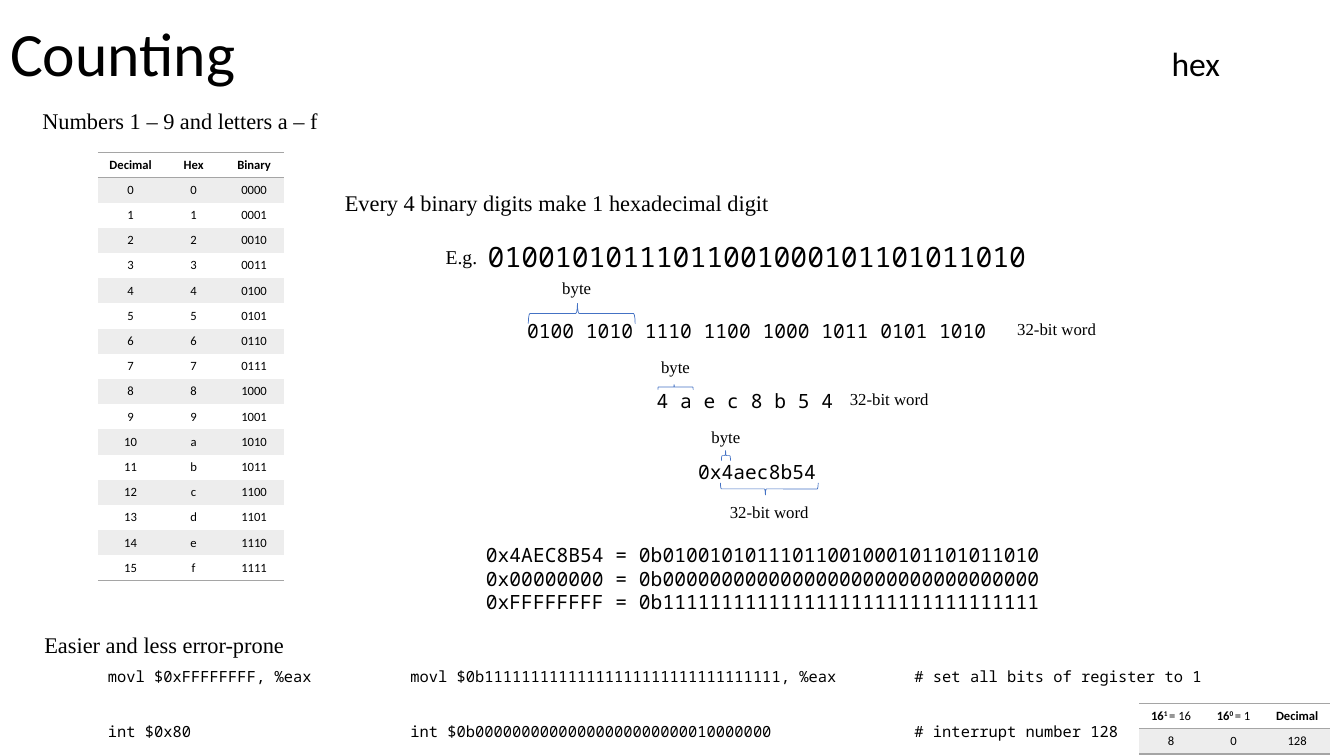
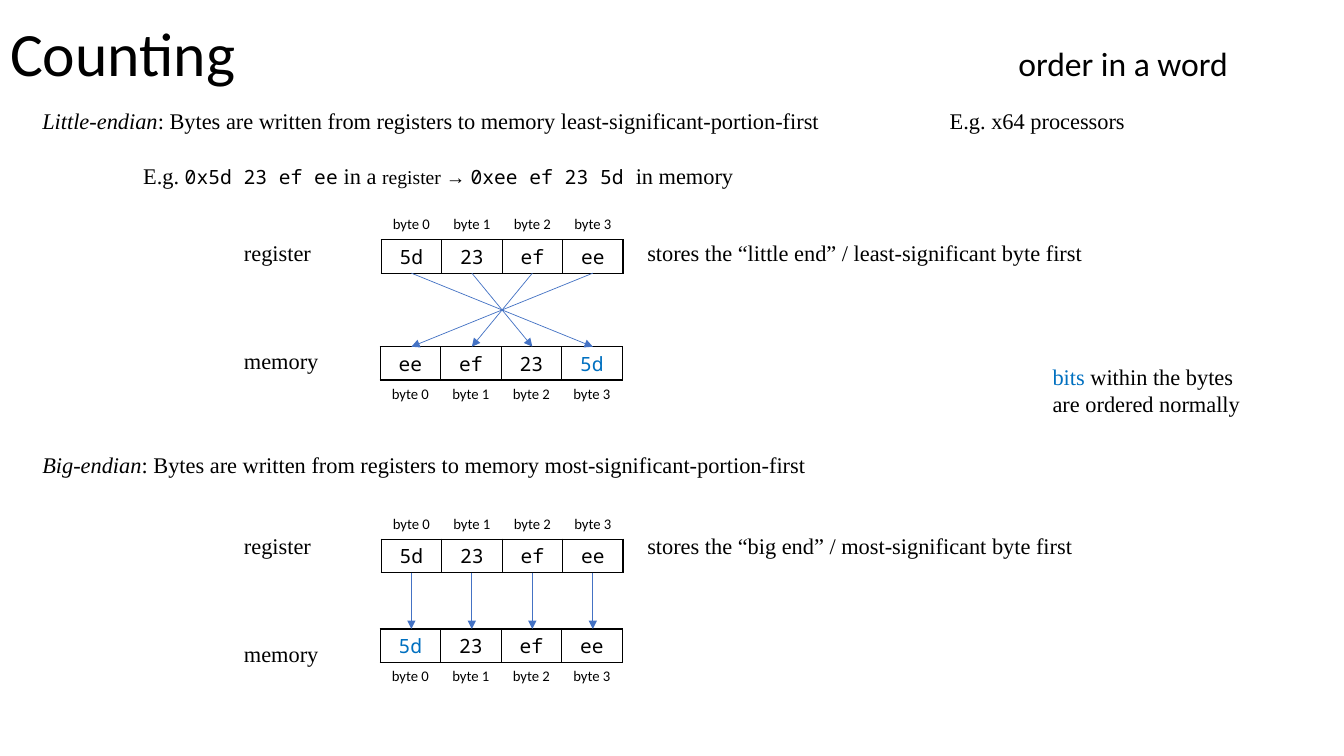
"""Build two slides on counting: hexadecimal digits and byte order in a word."""
from lxml import etree
from pptx import Presentation
from pptx import util as u
from pptx.dml import color as c
from pptx.enum import shapes, text as t
from pptx.oxml import ns

rgb = c.RGBColor.from_string
BLACK, BLUE, LINE_BLUE, GREY, PALE = "000000", "0070C0", "4472C4", "A5A5A5", "EDEDED"
SERIF, SANS, MONO = "Times New Roman", "Calibri", "Noto Sans Mono"
LEFT, CENTER = t.PP_ALIGN.LEFT, t.PP_ALIGN.CENTER
BODY = dict(font=SERIF, size=16)
SMALL = dict(font=SERIF, size=12, align=CENTER)
DIGITS = dict(font=MONO, size=14, align=CENTER)
CODE = dict(font=MONO, size=11)
PLAIN_CELL = dict(font=SANS, size=9, align=CENTER)
HEAD_CELL = dict(PLAIN_CELL, bold=True)
BYTE_LABEL = dict(font=SANS, size=10.5, align=CENTER)


def write(frame, content, align=LEFT, spacing=1.0, **base):
    """Fill a frame with a string or a list of strings and (string, format) runs."""
    frame.word_wrap = True
    frame.vertical_anchor = t.MSO_ANCHOR.MIDDLE
    paragraph = frame.paragraphs[0]
    for item in [content] if isinstance(content, str) else content:
        words, changes = (item, {}) if isinstance(item, str) else item
        style = {"color": BLACK, **base, **changes}
        for number, line in enumerate(words.split("\n")):
            if number:
                paragraph = frame.add_paragraph()
            run = paragraph.add_run()
            run.text = line
            run.font.name = style["font"]
            run.font.size = u.Pt(style["size"])
            run.font.bold = style.get("bold", False)
            run.font.italic = style.get("italic", False)
            run.font.color.rgb = rgb(style["color"])
            if "baseline" in style:
                run.font._element.set("baseline", str(style["baseline"]))
    for paragraph in frame.paragraphs:
        paragraph.alignment = align
        paragraph.line_spacing = spacing


def add_table(slide, left, top, widths, rows, line_color):
    """Add a table whose rows are (height, texts, format, bordered sides, fill)."""
    frame = slide.shapes.add_table(
        len(rows), len(widths), u.Inches(left), u.Inches(top),
        u.Inches(sum(widths)), u.Inches(sum(row[0] for row in rows)))
    table = frame.table
    table.first_row = table.horz_banding = False
    table._tbl.tblPr[0].text = "{2D5ABB26-0587-4C30-8999-92F81FD0307C}"
    for column, width in zip(table.columns, widths):
        column.width = u.Inches(width)
    for row, (height, texts, style, sides, fill) in zip(table.rows, rows):
        row.height = u.Inches(height)
        for cell, content in zip(row.cells, texts):
            cell.margin_left = cell.margin_right = u.Inches(0.05)
            cell.margin_top = cell.margin_bottom = u.Inches(0.02)
            cell.vertical_anchor = t.MSO_ANCHOR.MIDDLE
            write(cell.text_frame, content, **style)
            properties = cell._tc.get_or_add_tcPr()
            for side in sides:
                border = etree.SubElement(properties, ns.qn("a:ln" + side), w="12700")
                solid = etree.SubElement(border, ns.qn("a:solidFill"))
                etree.SubElement(solid, ns.qn("a:srgbClr"), val=line_color)
            if fill:
                cell.fill.solid()
                cell.fill.fore_color.rgb = rgb(fill)
            else:
                cell.fill.background()


presentation = Presentation()
presentation.slide_width = u.Inches(13.33)
presentation.slide_height = u.Inches(7.5)

slides = []
for topic, tab_stop in (("hex", 11.52), ("order in a word", 10)):
    slide = presentation.slides.add_slide(presentation.slide_layouts[6])
    slides.append(slide)
    title = slide.shapes.add_textbox(u.Inches(0.1), 0, u.Inches(13.1), u.Inches(1.13))
    frame = title.text_frame
    frame.margin_left = frame.margin_right = 0
    properties = frame.paragraphs[0]._p.get_or_add_pPr()
    tabs = etree.SubElement(properties, ns.qn("a:tabLst"))
    etree.SubElement(tabs, ns.qn("a:tab"), pos=str(u.Inches(tab_stop)), algn="l")
    write(frame, ["Counting\t", (topic, dict(size=24))], font=SANS, size=44, spacing=0.9)
hex_slide, order_slide = slides

hex_labels = [
    (0.42, 1.2, 4, "Numbers 1 – 9 and letters a – f", BODY),
    (3.42, 2.01, 6, "Every 4 binary digits make 1 hexadecimal digit", BODY),
    (4.42, 2.55, 0.5, "E.g.", dict(BODY, size=14)),
    (4.71, 2.54, 5.6, "01001010111011001000101101011010", dict(DIGITS, size=20)),
    (5.01, 3.28, 5, "0100 1010 1110 1100 1000 1011 0101 1010", DIGITS),
    (6.39, 3.98, 2, "4 a e c 8 b 5 4", DIGITS),
    (6.51, 4.68, 2, "0x4aec8b54", DIGITS),
    (4.82, 5.74, 6, "0x4AEC8B54 = 0b01001010111011001000101101011010\n"
                    "0x00000000 = 0b00000000000000000000000000000000\n"
                    "0xFFFFFFFF = 0b11111111111111111111111111111111",
     dict(font=MONO, size=14)),
    (0.44, 6.39, 4, "Easier and less error-prone", BODY),
]
for middle, center in ((5.72, 2.86), (6.7, 3.64), (7.2, 4.33)):
    hex_labels.append((middle - 0.3, center, 0.6, "byte", SMALL))
for middle, center in ((10.48, 3.26), (8.82, 3.96), (7.63, 5.08)):
    hex_labels.append((middle - 0.6, center, 1.2, "32-bit word", SMALL))
for center, columns in (
        (6.71, ("movl $0xFFFFFFFF, %eax",
                "movl $0b11111111111111111111111111111111, %eax",
                "# set all bits of register to 1")),
        (7.26, ("int $0x80",
                "int $0b00000000000000000000000010000000",
                "# interrupt number 128"))):
    for left, width, words in zip((1.07, 4.07, 9.07), (2.8, 4.8, 3.2), columns):
        hex_labels.append((left, center, width, words, CODE))

mono_run = dict(font=MONO, size=14)
italic = dict(italic=True)
order_labels = [
    (0.42, 1.2, 8.5, [("Little-endian", italic), ": Bytes are written from registers "
                      "to memory least-significant-portion-first"], BODY),
    (9.42, 1.2, 3, "E.g. x64 processors", BODY),
    (1.42, 1.74, 8, ["E.g. ", ("0x5d 23 ef ee", mono_run), " in a ",
                     ("register → ", dict(size=14)),
                     ("0xee ef 23 5d ", mono_run), "in memory"], BODY),
    (10.44, 3.87, 2.5, [("bits", dict(color=BLUE)),
                        " within the bytes\nare ordered normally"], BODY),
    (0.42, 4.61, 8.5, [("Big-endian", italic), ": Bytes are written from registers "
                       "to memory most-significant-portion-first"], BODY),
]
for center, words in ((2.51, "stores the “little end” / least-significant byte first"),
                      (5.41, "stores the “big end” / most-significant byte first")):
    order_labels += [(2.42, center, 1.2, "register", BODY),
                     (6.42, center, 6, words, BODY),
                     (2.42, center + 1.07, 1.2, "memory", BODY)]

for slide, labels in ((hex_slide, hex_labels), (order_slide, order_labels)):
    for left, center, width, words, style in labels:
        box = slide.shapes.add_textbox(
            u.Inches(left), u.Inches(center - 0.15), u.Inches(width), u.Inches(0.3))
        frame = box.text_frame
        frame.margin_left = frame.margin_right = frame.margin_top = frame.margin_bottom = 0
        write(frame, words, **style)

number_rows = [(0.25, ("Decimal", "Hex", "Binary"), HEAD_CELL, "TB", None)]
for value in range(16):
    number_rows.append((0.25, (str(value), f"{value:x}", f"{value:04b}"), PLAIN_CELL,
                        "B" if value == 15 else "", None if value % 2 else PALE))
add_table(hex_slide, 0.97, 1.51, (0.65, 0.6, 0.6), number_rows, GREY)

raised, regular = dict(baseline=30000), dict(bold=False)
powers = (["16", ("1 ", raised), ("= 16", regular)],
          ["16", ("0 ", raised), ("= 1", regular)], "Decimal")
add_table(hex_slide, 11.3, 6.98, (0.63, 0.61, 0.65),
          [(0.25, powers, HEAD_CELL, "TB", None),
           (0.25, ("8", "0", "128"), PLAIN_CELL, "B", PALE)], GREY)

for middle, center, width, height, rotation, point in (
        (5.77, 3.11, 1.06, 0.2, 270, 0.46), (6.7, 3.84, 0.35, 0.05, 270, 0.46),
        (7.2, 4.52, 0.09, 0.1, 270, 0.46), (7.63, 4.85, 0.97, 0.12, 90, 0.54)):
    brace = hex_slide.shapes.add_shape(
        shapes.MSO_SHAPE.RIGHT_BRACE, u.Inches(middle - height / 2),
        u.Inches(center - width / 2), u.Inches(height), u.Inches(width))
    brace.rotation = rotation
    brace.adjustments[0], brace.adjustments[1] = 0.08, point
    brace.shadow.inherit = False
    brace.fill.background()
    brace.line.color.rgb = rgb(LINE_BLUE)
    brace.line.width = u.Pt(0.5)

word = ["5d", "23", "ef", "ee"]
marked = [("5d", dict(color=BLUE))]
byte_names = [f"byte {number}" for number in range(4)]
byte_widths = [0.6] * 4
name_sides = ""
for top, memory, targets, gap in (
        (2.08, ["ee", "ef", "23", marked], (3, 2, 1, 0), 0.73),
        (5.05, [marked, "23", "ef", "ee"], (0, 1, 2, 3), 0.56)):
    register_bottom = top + 0.63
    memory_top = register_bottom + gap
    add_table(order_slide, 3.78, top, byte_widths,
              [(0.3, byte_names, BYTE_LABEL, "B", None),
               (0.33, word, DIGITS, "LRTB", None)], BLACK)
    add_table(order_slide, 3.77, memory_top, byte_widths,
              [(0.33, memory, DIGITS, "LRTB", None),
               (0.28, byte_names, BYTE_LABEL, "T", None)], BLACK)
    for source, target in enumerate(targets):
        arrow = order_slide.shapes.add_connector(
            shapes.MSO_CONNECTOR.STRAIGHT,
            u.Inches(4.08 + 0.6 * source), u.Inches(register_bottom),
            u.Inches(4.08 + 0.6 * target), u.Inches(memory_top))
        arrow.line.color.rgb = rgb(LINE_BLUE)
        arrow.line.width = u.Pt(0.5)
        etree.SubElement(arrow.line._get_or_add_ln(), ns.qn("a:tailEnd"), type="triangle")
        etree.SubElement(arrow._element.spPr, ns.qn("a:effectLst"))

presentation.save("out.pptx")
